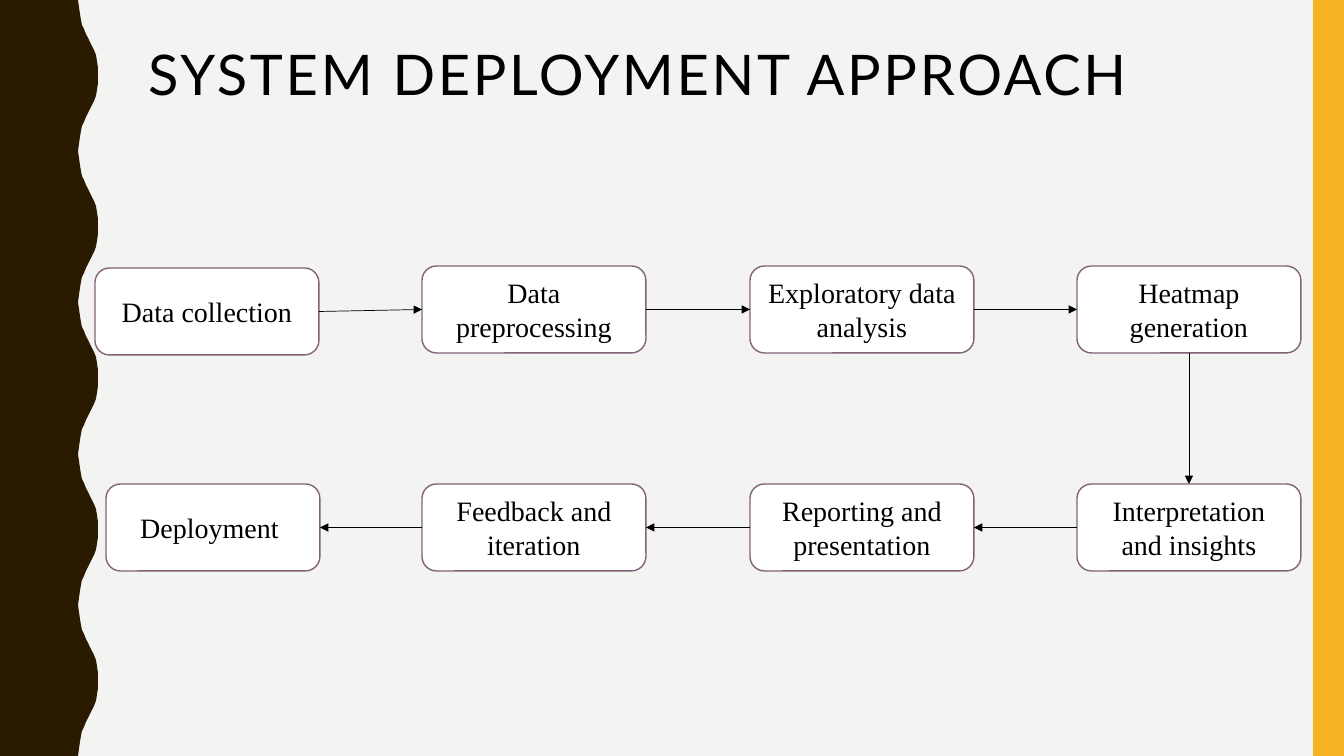
import itertools
from dataclasses import dataclass

import pptx
import pptx.util
import pptx.dml.color
import pptx.enum.shapes
import pptx.enum.text
import pptx.oxml
import pptx.oxml.ns

# Content
TITLE = "SYSTEM DEPLOYMENT APPROACH"
STEPS = [  # text, column, row
    ("Data collection", 0, 0),
    ("Data preprocessing", 1, 0),
    ("Exploratory data analysis", 2, 0),
    ("Heatmap generation", 3, 0),
    ("Interpretation and insights", 3, 1),
    ("Reporting and presentation", 2, 1),
    ("Feedback and iteration", 1, 1),
    ("Deployment ", 0, 1),
]


@dataclass(frozen=True)
class Theme:
    background: str = "F3F3F2"
    wave: str = "2A1A00"
    stripe: str = "F8B323"
    box: str = "FFFFFF"
    border: str = "826276"
    ink: str = "000000"
    title_font: str = "Lato"
    body_font: str = "Times New Roman"
    title_size: int = 40
    body_size: int = 20


THEME = Theme()

# Geometry in px
SCALE = 914400 / 100.8
WIDTH, HEIGHT = 1344, 756
TITLE_FRAME = (138, 42, 1160, 199)
STRIPE_FRAME = (1313, 0, 31, HEIGHT)
BOX_WIDTH, BOX_HEIGHT = 224, 87
FIRST_LEFT, COLUMN_STEP = 95, 327.4
FIRST_TOP, ROW_STEP = 266, 218
FRAME_SHIFTS = {0: (0, 2, 0, 0), 7: (11, 0, -10, 0)}  # first and last step
WAVES = 5
HALF_WAVE = [(78, 0), (79, 7), (80, 14), (81, 20), (82, 25), (84, 29), (86, 34), (88, 38),
             (90, 42), (92, 46), (94, 50), (96, 55), (97, 61), (98, 68), (98, 75.6)]
TOP, LEFT, BOTTOM, RIGHT = range(4)  # connection sites


def emu(*lengths):
    return [pptx.util.Emu(round(length * SCALE)) for length in lengths]


def color(value):
    return pptx.dml.color.RGBColor.from_string(value)


def paint(shape, fill, border=None):
    shape.shadow.inherit = False
    shape.fill.solid()
    shape.fill.fore_color.rgb = color(fill)
    if border:
        shape.line.color.rgb = color(border)
        shape.line.width = pptx.util.Pt(1)
    else:
        shape.line.fill.background()


def write(shape, text, *, font, size, align, anchor, line_spacing=None, tracking=None):
    frame = shape.text_frame
    frame.word_wrap = True
    frame.auto_size = pptx.enum.text.MSO_AUTO_SIZE.NONE
    frame.vertical_anchor = anchor
    para = frame.paragraphs[0]
    para.alignment = align
    para.line_spacing = line_spacing
    span = para.add_run()
    span.text = text
    span.font.name = font
    span.font.size = pptx.util.Pt(size)
    span.font.color.rgb = color(THEME.ink)
    if tracking:
        span.font._element.set("spc", str(tracking * 100))


def add_wave(page):
    period = HEIGHT / WAVES
    falling = [(x, period - y) for x, y in reversed(HALF_WAVE)]
    edge = [(x, y + wave * period)
            for wave in range(WAVES) for x, y in HALF_WAVE + falling]
    outline = page.shapes.build_freeform(0, 0, scale=SCALE)
    outline.add_line_segments(edge + [(0, HEIGHT)], close=True)
    paint(outline.convert_to_shape(), THEME.wave)


def add_box(page, index, text, column, row):
    frame = (FIRST_LEFT + round(column * COLUMN_STEP), FIRST_TOP + row * ROW_STEP,
             BOX_WIDTH, BOX_HEIGHT)
    shift = FRAME_SHIFTS.get(index, (0, 0, 0, 0))
    box = page.shapes.add_shape(pptx.enum.shapes.MSO_SHAPE.ROUNDED_RECTANGLE,
                                *emu(*(a + b for a, b in zip(frame, shift))))
    paint(box, THEME.box, THEME.border)
    write(box, text, font=THEME.body_font, size=THEME.body_size,
          align=pptx.enum.text.PP_ALIGN.CENTER, anchor=pptx.enum.text.MSO_ANCHOR.MIDDLE)
    return box


def add_arrow(page, start, end, start_site, end_site):
    arrow = page.shapes.add_connector(pptx.enum.shapes.MSO_CONNECTOR.STRAIGHT, 0, 0, 0, 0)
    arrow.begin_connect(start, start_site)
    arrow.end_connect(end, end_site)
    arrow.line.color.rgb = color(THEME.ink)
    arrow.line.width = pptx.util.Pt(0.5)
    namespace = pptx.oxml.ns.nsdecls("a")
    arrow.line._get_or_add_ln().append(
        pptx.oxml.parse_xml(f'<a:tailEnd {namespace} type="triangle"/>'))
    arrow._element.spPr.append(pptx.oxml.parse_xml(f"<a:effectLst {namespace}/>"))


def main():
    deck = pptx.Presentation()
    deck.slide_width, deck.slide_height = emu(WIDTH, HEIGHT)
    page = deck.slides.add_slide(deck.slide_layouts[5])
    page.background.fill.solid()
    page.background.fill.fore_color.rgb = color(THEME.background)

    # Side decoration
    add_wave(page)
    stripe = page.shapes.add_shape(pptx.enum.shapes.MSO_SHAPE.RECTANGLE, *emu(*STRIPE_FRAME))
    paint(stripe, THEME.stripe)

    # Title
    title = page.shapes.title
    title.left, title.top, title.width, title.height = emu(*TITLE_FRAME)
    write(title, TITLE, font=THEME.title_font, size=THEME.title_size,
          align=pptx.enum.text.PP_ALIGN.LEFT, anchor=pptx.enum.text.MSO_ANCHOR.TOP,
          line_spacing=0.9, tracking=2)

    # Process steps, joined in order
    boxes = [add_box(page, index, *step) for index, step in enumerate(STEPS)]
    for (start, (_, column, row)), (end, (_, _, next_row)) in itertools.pairwise(
            zip(boxes, STEPS)):
        if row != next_row:
            sites = BOTTOM, TOP
        else:
            sites = (RIGHT, LEFT) if row == 0 else (LEFT, RIGHT)
        add_arrow(page, start, end, *sites)

    deck.save("out.pptx")


if __name__ == "__main__":
    main()
